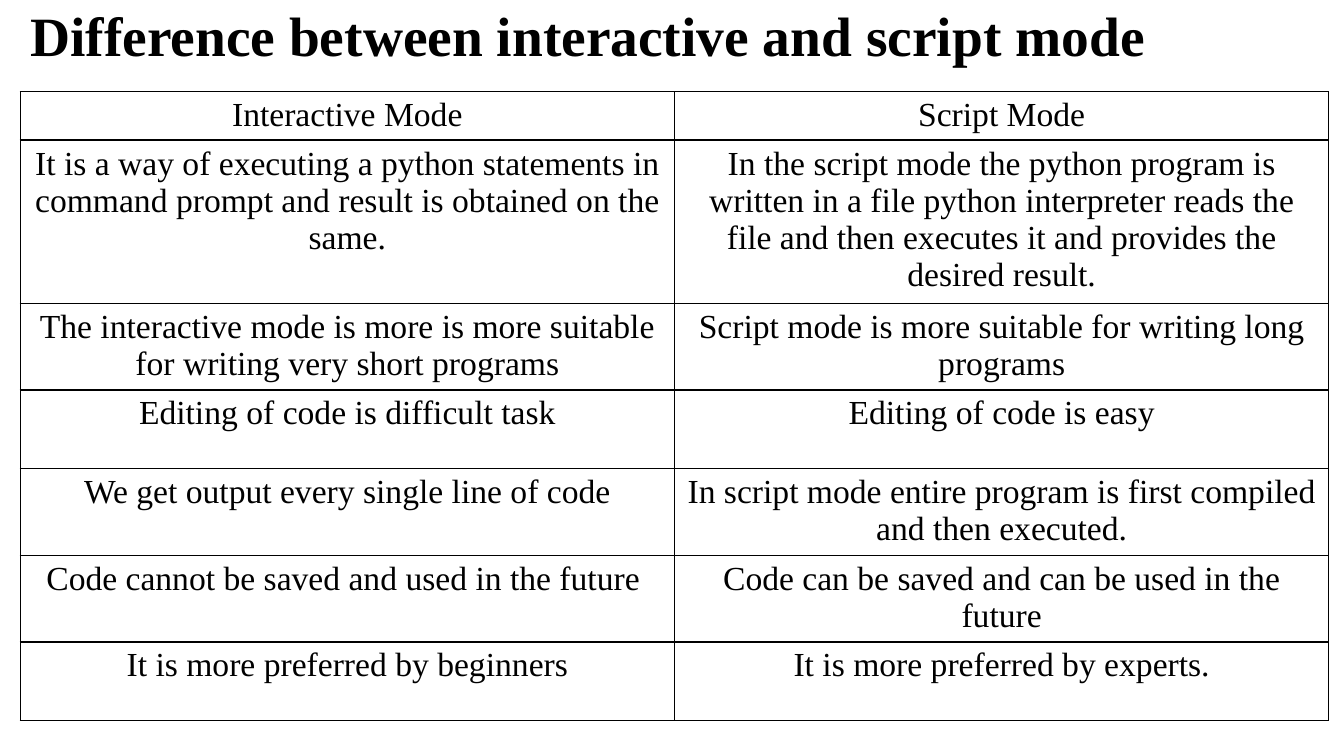
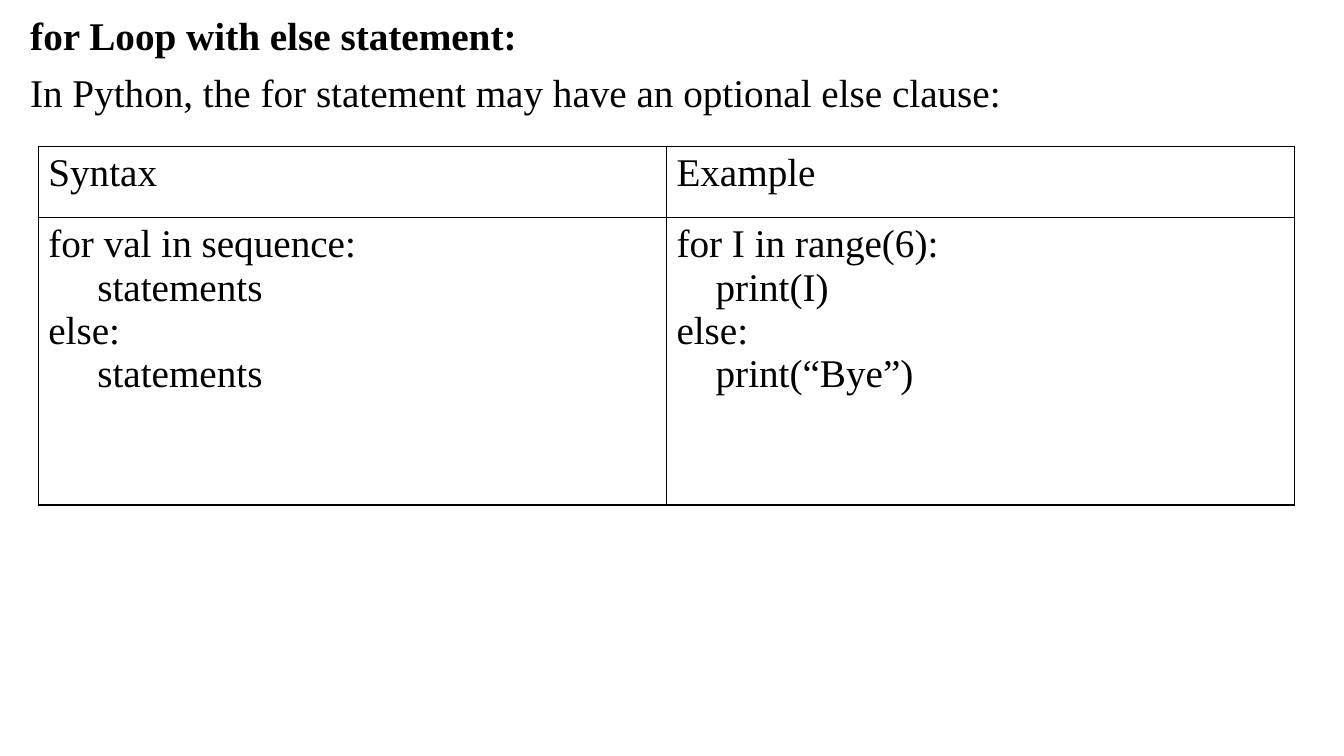
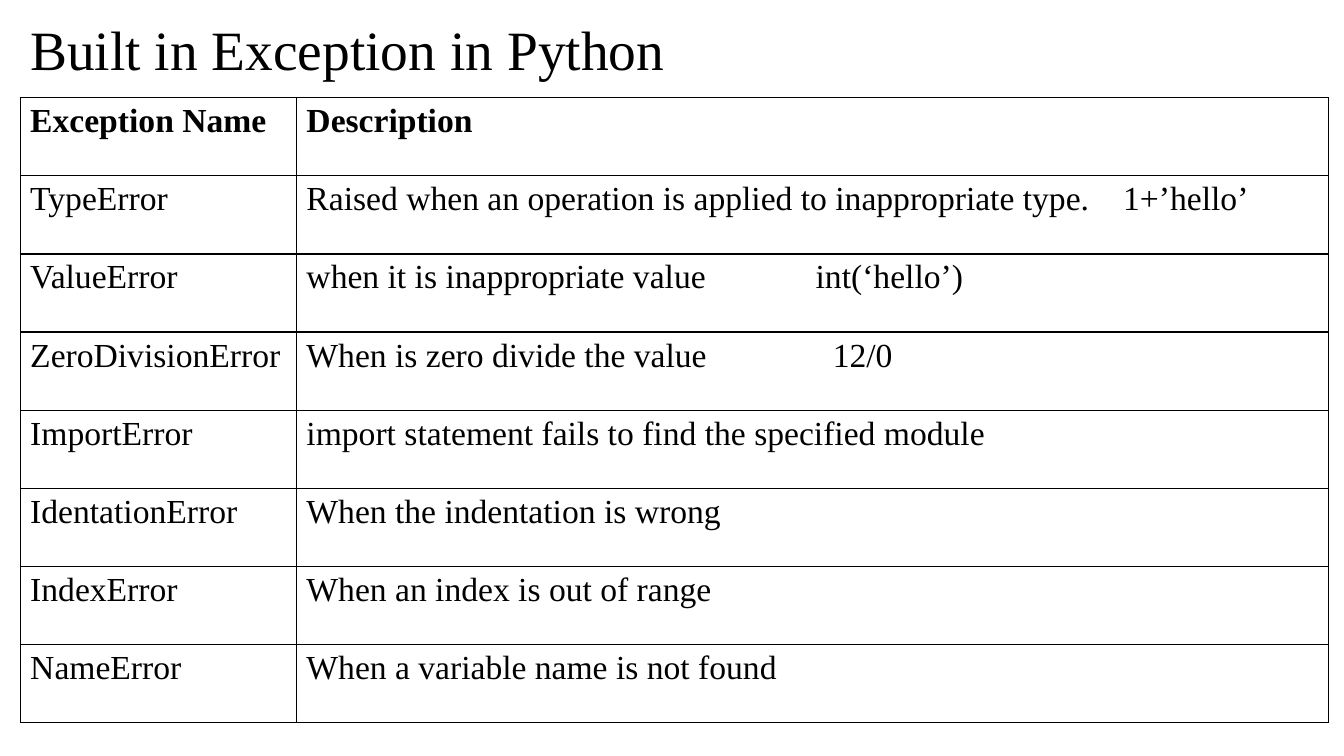
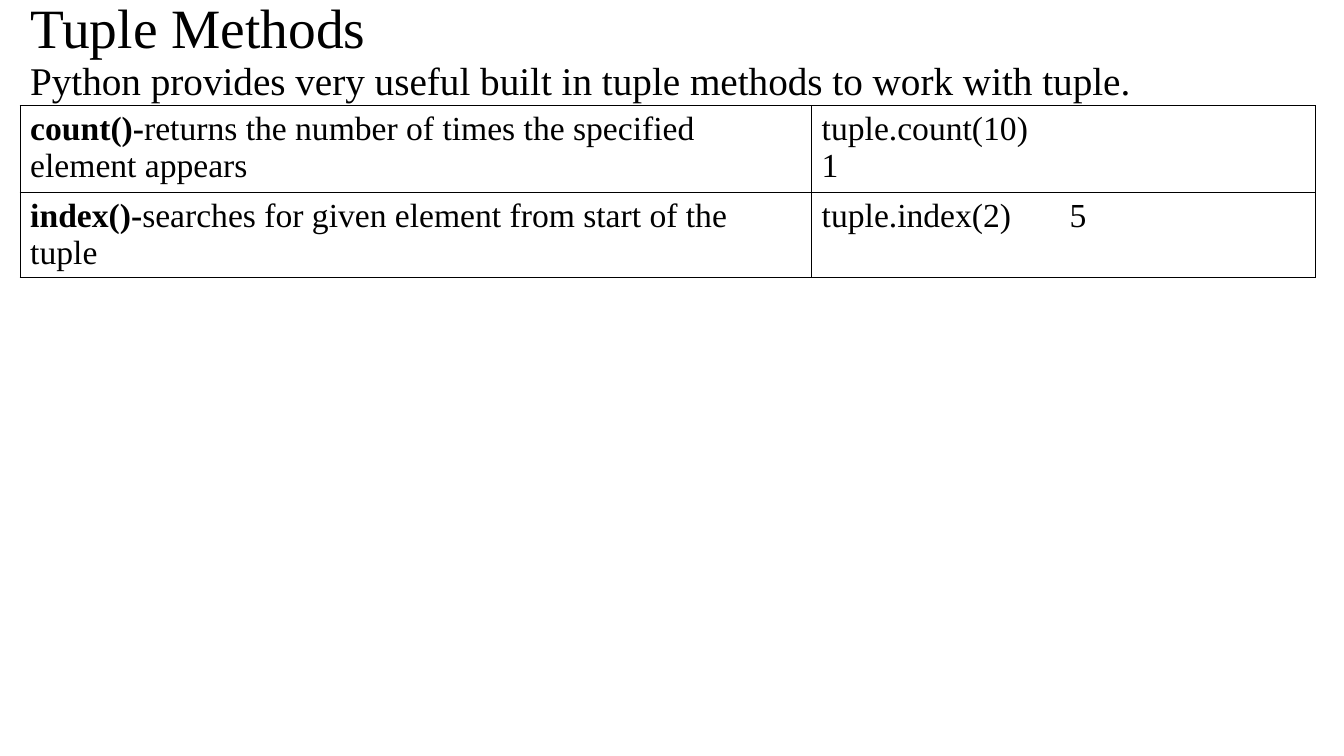
"""Builds four Python lecture slides, each a title above a bordered table."""
from lxml.etree import SubElement
from pptx import Presentation
from pptx.dml.color import RGBColor
from pptx.enum.text import MSO_ANCHOR, MSO_AUTO_SIZE, PP_ALIGN
from pptx.oxml.ns import qn
from pptx.util import Inches, Pt

FONT = "Times New Roman"
INK = "000000"
LEFT = 0.2
TEXT_WIDTH = 12.85
TITLE_SIZE = 39.6
BODY_SIZE = 28

SLIDES = [
    {
        "title": "Difference between interactive and script mode",
        "title_top": 0.12, "title_height": 0.53, "title_bold": True,
        "table": {
            "left": LEFT, "top": 0.91, "size": 24, "align": PP_ALIGN.CENTER,
            "columns": [6.49, 6.49],
            "heights": [0.48, 1.62, 0.86, 0.78, 0.86, 0.86, 0.78],
            "rows": [
                ("Interactive Mode", "Script Mode"),
                ("It is a way of executing a python statements in command prompt "
                 "and result is obtained on the same.",
                 "In the script mode the python program is written in a file python "
                 "interpreter reads the file and then executes it and provides the "
                 "desired result."),
                ("The interactive mode is more is more suitable for writing very short programs",
                 "Script mode is more suitable for writing long programs"),
                ("Editing of code is difficult task", "Editing of code is easy"),
                ("We get output every single line of code",
                 "In script mode entire program is first compiled and then executed."),
                ("Code cannot be saved and used in the future ",
                 "Code can be saved and can be used in the future"),
                ("It is more preferred by beginners", "It is more preferred by experts."),
            ],
        },
    },
    {
        "title": "for Loop with else statement:",
        "title_top": 0.12, "title_height": 0.5, "title_bold": True, "title_size": BODY_SIZE,
        "intro": "In Python, the for statement may have an optional else clause:",
        "intro_top": 0.68,
        "table": {
            "left": 0.38, "top": 1.45, "size": BODY_SIZE,
            "columns": [6.23, 6.23],
            "heights": [0.71, 2.85],
            "rows": [
                ("Syntax", "Example"),
                ("for val in sequence:\n     statements\nelse:\n     statements",
                 "for I in range(6):\n    print(I)\nelse:\n    print(“Bye”)"),
            ],
        },
    },
    {
        "title": "Built in Exception in Python",
        "title_top": 0.2, "title_height": 0.64,
        "table": {
            "left": LEFT, "top": 0.97, "size": 24, "bold_header": True,
            "columns": [2.74, 10.24],
            "heights": [6.2 / 8] * 8,
            "tabs": {1: 8.1, 2: 5.05, 3: 5.22},
            "rows": [
                ("Exception Name", "Description"),
                ("TypeError",
                 "Raised when an operation is applied to inappropriate type.\t1+’hello’"),
                ("ValueError", "when it is inappropriate value\tint(‘hello’)"),
                ("ZeroDivisionError", "When is zero divide the value\t12/0"),
                ("ImportError", "import statement fails to find the specified module"),
                ("IdentationError", "When the indentation is wrong"),
                ("IndexError", "When an index is out of range"),
                ("NameError", "When a variable name is not found"),
            ],
        },
    },
    {
        "title": "Tuple Methods",
        "title_top": 0.18, "title_height": 0.24,
        "intro": "Python provides very useful built in tuple methods to work with tuple.",
        "intro_top": 0.56,
        "table": {
            "left": LEFT, "top": 1.05, "size": 24,
            "columns": [7.85, 5],
            "heights": [0.86, 0.84],
            "tabs": {1: 2.46},
            "rows": [
                (("count()-", "returns the number of times the specified element appears"),
                 "tuple.count(10)\n1"),
                (("index()-", "searches for given element from start of the tuple"),
                 "tuple.index(2)\t5"),
            ],
        },
    },
]


def color(value):
    return RGBColor.from_string(value)


def format_run(run, size, bold=False):
    run.font.name = FONT
    run.font.size = Pt(size)
    run.font.bold = bold
    run.font.color.rgb = color(INK)


def fill_line(shape, text, size, bold=False):
    """Writes one left-aligned line of slide text."""
    frame = shape.text_frame
    frame.word_wrap = True
    frame.auto_size = MSO_AUTO_SIZE.NONE
    frame.text = text
    paragraph = frame.paragraphs[0]
    paragraph.alignment = PP_ALIGN.LEFT
    paragraph.line_spacing = 0.9
    format_run(paragraph.runs[0], size, bold)


def add_title(slide, content):
    title = slide.shapes.title
    title.left, title.top = Inches(LEFT), Inches(content["title_top"])
    title.width, title.height = Inches(TEXT_WIDTH), Inches(content["title_height"])
    fill_line(title, content["title"], content.get("title_size", TITLE_SIZE),
              content.get("title_bold", False))
    title.text_frame.vertical_anchor = MSO_ANCHOR.MIDDLE


def add_intro(slide, content):
    box = slide.shapes.add_textbox(Inches(LEFT), Inches(content["intro_top"]),
                                   Inches(TEXT_WIDTH), Inches(0.5))
    fill_line(box, content["intro"], BODY_SIZE)


def add_borders(cell):
    properties = cell._tc.get_or_add_tcPr()
    for side in ("lnL", "lnR", "lnT", "lnB"):
        line = SubElement(properties, qn(f"a:{side}"), w=str(Pt(1)))
        fill = SubElement(line, qn("a:solidFill"))
        SubElement(fill, qn("a:srgbClr"), val=INK)


def add_tab_stop(paragraph, position):
    tabs = SubElement(paragraph._p.get_or_add_pPr(), qn("a:tabLst"))
    SubElement(tabs, qn("a:tab"), pos=str(Inches(position)), algn="l")


def fill_cell(cell, content, size, align, bold, tab):
    """Writes a cell; a pair is a bold lead followed by plain text."""
    add_borders(cell)
    cell.fill.background()
    lead, text = content if isinstance(content, tuple) else (None, content)
    cell.text_frame.text = lead or text
    if lead:
        cell.text_frame.paragraphs[0].add_run().text = text
    for paragraph in cell.text_frame.paragraphs:
        paragraph.alignment = align
        if tab and "\t" in paragraph.text:
            add_tab_stop(paragraph, tab)
        for index, run in enumerate(paragraph.runs):
            format_run(run, size, bold or (lead is not None and index == 0))


def add_grid(slide, grid):
    columns, heights = grid["columns"], grid["heights"]
    table = slide.shapes.add_table(
        len(heights), len(columns), Inches(grid["left"]), Inches(grid["top"]),
        Inches(sum(columns)), Inches(sum(heights))).table
    table.first_row = table.horz_banding = False
    for column, width in zip(table.columns, columns):
        column.width = Inches(width)
    for index, (height, contents) in enumerate(zip(heights, grid["rows"])):
        table.rows[index].height = Inches(height)
        bold = index == 0 and grid.get("bold_header", False)
        tab = grid.get("tabs", {}).get(index)
        for cell, content in zip(table.rows[index].cells, contents):
            fill_cell(cell, content, grid["size"], grid.get("align", PP_ALIGN.LEFT), bold, tab)


def main():
    presentation = Presentation()
    presentation.slide_width, presentation.slide_height = Inches(13.33), Inches(7.5)
    title_only = presentation.slide_layouts[5]
    for content in SLIDES:
        slide = presentation.slides.add_slide(title_only)
        add_title(slide, content)
        if "intro" in content:
            add_intro(slide, content)
        add_grid(slide, content["table"])
    presentation.save("out.pptx")


if __name__ == "__main__":
    main()
